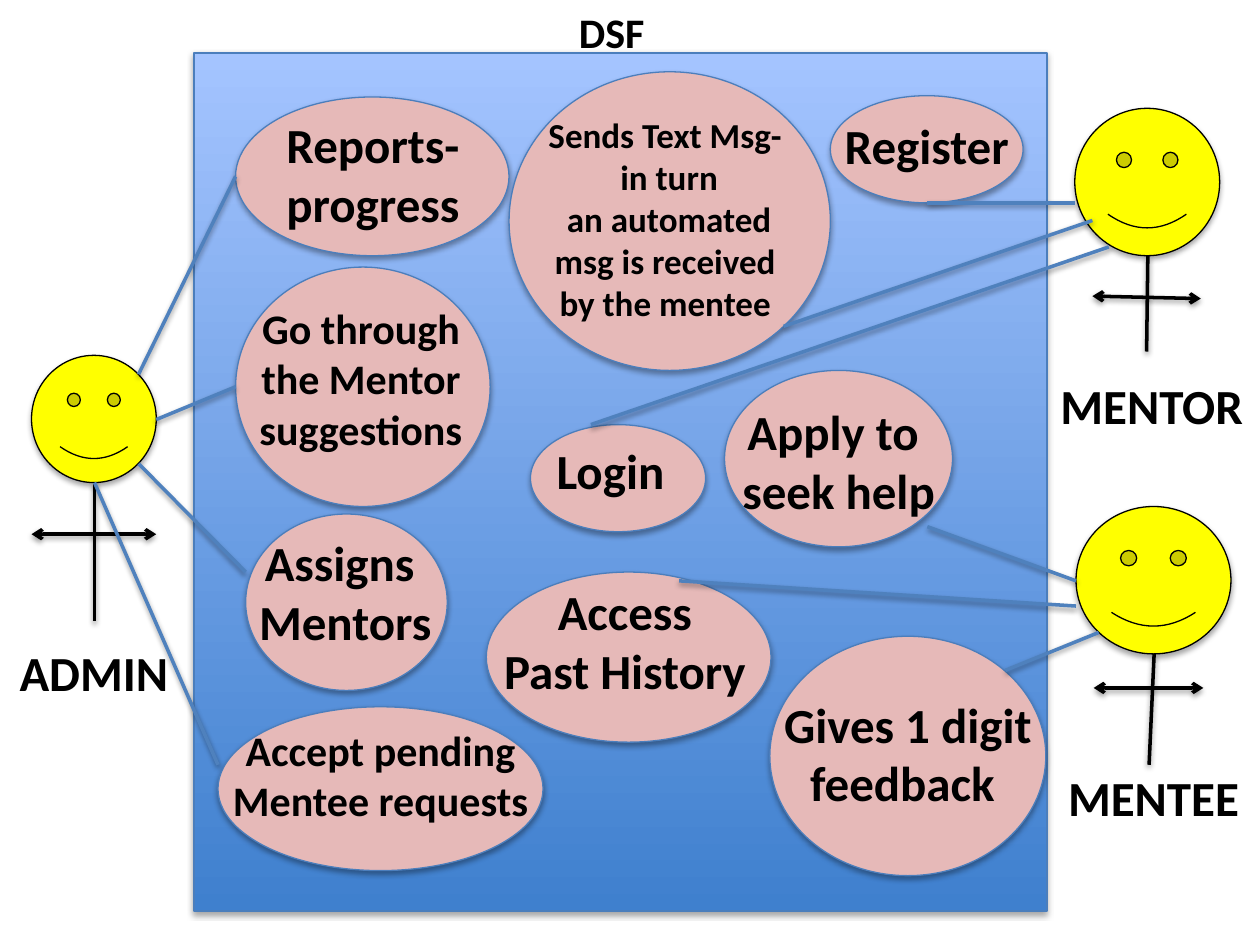
import pptx
import pptx.dml.color
import pptx.enum.dml
import pptx.enum.shapes
import pptx.enum.text
import pptx.oxml
import pptx.oxml.ns
import pptx.util

RGBColor = pptx.dml.color.RGBColor
SHAPE = pptx.enum.shapes.MSO_SHAPE
PX = 9144  # EMU per px, 100 px to the inch

BLACK = RGBColor(0x00, 0x00, 0x00)
YELLOW = RGBColor(0xFF, 0xFF, 0x00)
PINK = RGBColor(0xE6, 0xB9, 0xB8)
BORDER = RGBColor(0x4B, 0x7E, 0xBC)
LINK = RGBColor(0x4F, 0x81, 0xBD)
SYSTEM_BOTTOM = RGBColor(0x3F, 0x80, 0xCE)
SYSTEM_TOP = RGBColor(0xA4, 0xC4, 0xFF)

# Boxes are left, top, width, height
SYSTEM_BOX = (154, 42, 677, 681)

# Actor: head box, foot of the body, arm ends, name and its box
ACTORS = [
    ((25, 282, 99, 101), (75, 493), (25, 424, 124, 424), "ADMIN", (5, 505, 139, 57)),
    ((853, 86, 115, 117), (910, 279), (867, 235, 953, 237), "MENTOR", (830, 293, 168, 57)),
    ((854, 402, 123, 117), (912, 607), (868, 546, 955, 546), "MENTEE", (837, 604, 157, 57)),
]

# Use case: ellipse box, label offset and size inside it, font size, lines
USE_CASES = [
    ((187, 77, 217, 126), (29, 9, 160, 104), 28, ["Reports-", "progress"]),
    ((187, 212, 202, 190), (8, 23, 183, 131), 24,
     ["Go through ", "the Mentor ", "suggestions"]),
    ((421, 337, 139, 85), (10, 8, 107, 57), 28, ["Login"]),
    ((195, 408, 160, 140), (-1, 10, 160, 104), 28, ["Assigns ", "Mentors"]),
    ((659, 76, 153, 85), (0, 11, 153, 57), 28, ["Register"]),
    ((575, 294, 181, 140), (3, 20, 175, 104), 28, ["Apply to ", "seek help"]),
    ((404, 57, 255, 237), (19, 28, 210, 178), 20,
     ["Sends Text Msg-", " in turn", " an automated", " msg is received ", "by the mentee"]),
    ((386, 454, 226, 135), (2, 3, 216, 104), 28, ["Access", "Past History"]),
    ((611, 505, 219, 190), (0, 41, 219, 104), 28, ["Gives 1 digit", "feedback "]),
    ((173, 561, 258, 130), (0, 9, 258, 91), 24, ["Accept pending", "Mentee requests"]),
]

# Links between actors and use cases: x1, y1, x2, y2
LINKS = [
    (110, 297, 187, 140), (124, 333, 187, 307), (110, 368, 195, 454), (75, 383, 173, 607),
    (622, 259, 867, 175), (469, 337, 880, 196), (736, 161, 853, 161),
    (736, 418, 854, 461), (539, 461, 854, 481), (798, 532, 872, 502),
]


def emu(lengths):
    return [length * PX for length in lengths]


def add_shadow(properties, distance, opacity):
    """Put a soft downward shadow in the effect list of the shape properties."""
    effects = properties.find(pptx.oxml.ns.qn("a:effectLst"))
    if effects is None:
        effects = pptx.oxml.parse_xml(f"<a:effectLst {pptx.oxml.ns.nsdecls('a')}/>")
        properties.append(effects)
    effects.append(pptx.oxml.parse_xml(
        f'<a:outerShdw {pptx.oxml.ns.nsdecls("a")} blurRad="40000" dist="{distance}" '
        f'dir="5400000" rotWithShape="0"><a:srgbClr val="000000">'
        f'<a:alpha val="{opacity}000"/></a:srgbClr></a:outerShdw>'))


def add_solid(slide, kind, box, border, fill=None):
    shape = slide.shapes.add_shape(kind, *emu(box))
    if fill is not None:
        shape.fill.solid()
        shape.fill.fore_color.rgb = fill
    shape.line.color.rgb = border
    shape.line.width = pptx.util.Pt(0.75)
    shape.shadow.inherit = False
    add_shadow(shape._element.spPr, 23000, 35)
    return shape


def add_line(slide, ends, color, arrows=False):
    connector = slide.shapes.add_connector(
        pptx.enum.shapes.MSO_CONNECTOR.STRAIGHT, *emu(ends))
    connector.line.color.rgb = color
    connector.line.width = pptx.util.Pt(2)
    if arrows:
        for end in ("headEnd", "tailEnd"):
            connector.line._get_or_add_ln().append(pptx.oxml.parse_xml(
                f'<a:{end} {pptx.oxml.ns.nsdecls("a")} type="arrow"/>'))
    add_shadow(connector._element.spPr, 20000, 38)


def write_lines(shape, lines, size):
    frame = shape.text_frame
    frame.word_wrap = False
    frame.auto_size = pptx.enum.text.MSO_AUTO_SIZE.SHAPE_TO_FIT_TEXT
    frame.vertical_anchor = pptx.enum.text.MSO_ANCHOR.TOP
    for index, line in enumerate(lines):
        paragraph = frame.add_paragraph() if index else frame.paragraphs[0]
        paragraph.alignment = pptx.enum.text.PP_ALIGN.CENTER
        run = paragraph.add_run()
        run.text = line
        run.font.name = "Calibri"
        run.font.size = pptx.util.Pt(size)
        run.font.bold = True
        run.font.color.rgb = BLACK


def add_label(slide, box, lines, size):
    write_lines(slide.shapes.add_textbox(*emu(box)), lines, size)


def add_title(slide, box, text):
    title = slide.shapes.title
    title.left, title.top, title.width, title.height = emu(box)
    write_lines(title, [text], 24)


def add_system(slide, box):
    system = add_solid(slide, SHAPE.RECTANGLE, box, BORDER)
    system.fill.gradient()
    system.fill.gradient_angle = 90
    for stop, color, position in zip(
            system.fill.gradient_stops, (SYSTEM_BOTTOM, SYSTEM_TOP), (0, 1)):
        stop.color.rgb = color
        stop.position = position


def add_actor(slide, head, foot, arms, name, name_box):
    left, top, width, height = head
    add_solid(slide, SHAPE.SMILEY_FACE, head, BLACK, YELLOW)
    add_line(slide, (left + width // 2 + width % 2, top + height, *foot), BLACK)
    add_line(slide, arms, BLACK, arrows=True)
    add_label(slide, name_box, [name], 28)


def add_use_case(slide, box, label, size, lines):
    add_solid(slide, SHAPE.OVAL, box, BORDER, PINK)
    dx, dy, width, height = label
    add_label(slide, (box[0] + dx, box[1] + dy, width, height), lines, size)


def main():
    presentation = pptx.Presentation()
    presentation.slide_width, presentation.slide_height = emu((1000, 750))
    slide = presentation.slides.add_slide(presentation.slide_layouts[5])  # title only

    # System boundary with its name
    add_title(slide, (449, 0, 73, 50), "DSF")
    add_system(slide, SYSTEM_BOX)

    # Actors, use cases and the links between them
    for actor in ACTORS:
        add_actor(slide, *actor)
    for use_case in USE_CASES:
        add_use_case(slide, *use_case)
    for link in LINKS:
        add_line(slide, link, LINK)

    presentation.save("out.pptx")


if __name__ == "__main__":
    main()
